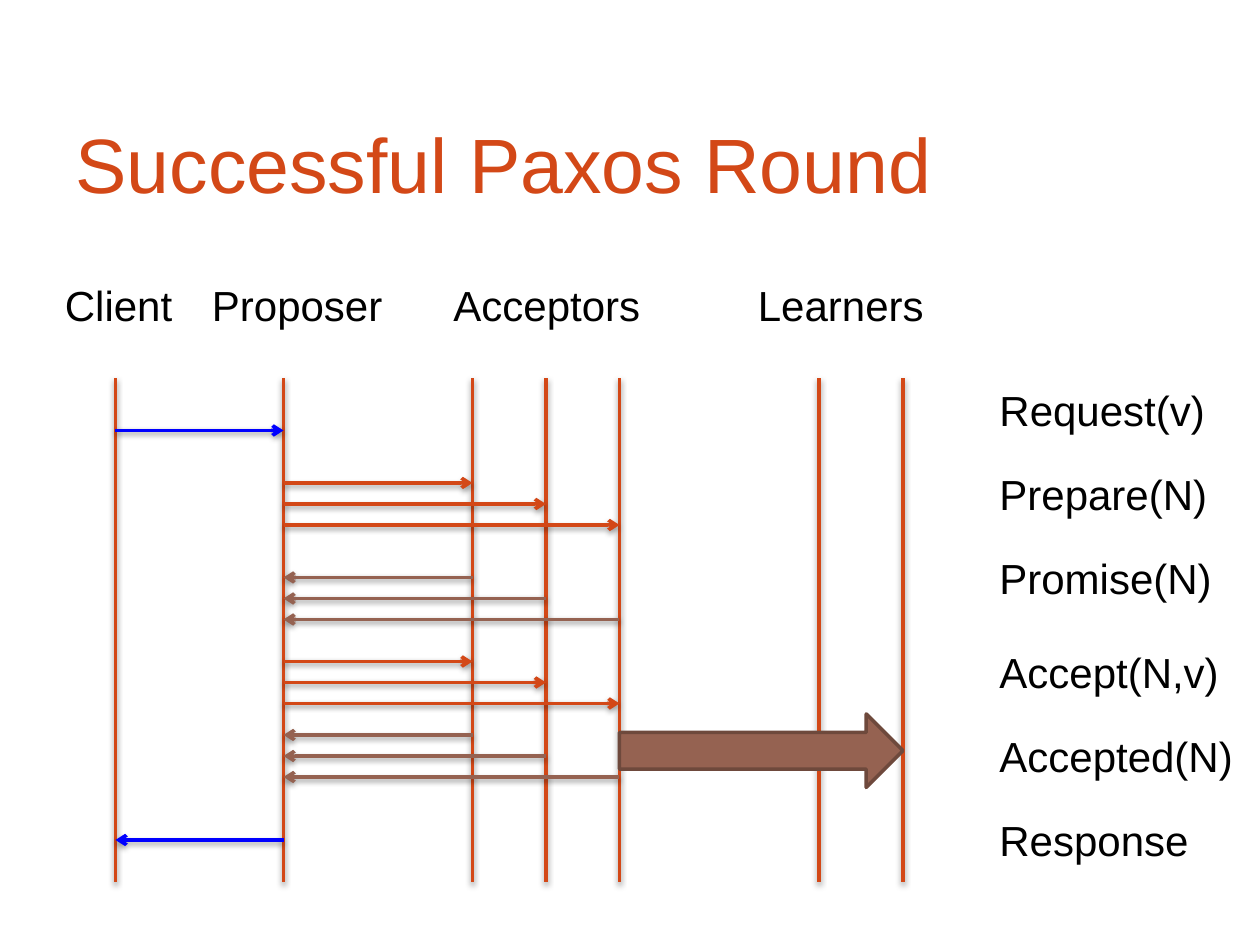
from dataclasses import dataclass

from lxml import etree
from pptx import Presentation
from pptx.dml.color import RGBColor
from pptx.enum.shapes import MSO_CONNECTOR, MSO_SHAPE
from pptx.enum.text import MSO_ANCHOR, MSO_AUTO_SIZE, PP_ALIGN
from pptx.oxml.ns import qn
from pptx.util import Pt

STRAIGHT = MSO_CONNECTOR.STRAIGHT
RIGHT_ARROW = MSO_SHAPE.RIGHT_ARROW
TOP, MIDDLE = MSO_ANCHOR.TOP, MSO_ANCHOR.MIDDLE
FIT_SHAPE = MSO_AUTO_SIZE.SHAPE_TO_FIT_TEXT
LEFT = PP_ALIGN.LEFT

ORANGE = RGBColor(0xD3, 0x48, 0x17)
BROWN = RGBColor(0x95, 0x62, 0x51)
DARK_BROWN = RGBColor(0x6E, 0x49, 0x3C)
BLUE = RGBColor(0x00, 0x00, 0xFF)
BLACK = RGBColor(0x00, 0x00, 0x00)

FONT = "Arial"
EMU_PER_PX = 7620
CLIENT, PROPOSER = 110, 270
ACCEPTORS = (450, 520, 590)
LEARNERS = (780, 860)
LIFE_TOP, LIFE_BOTTOM = 360, 840
ROW_GAP = 20
LABEL_H = 60


@dataclass(frozen=True)
class Label:
    text: str
    x: int
    y: int
    w: int


@dataclass(frozen=True)
class Exchange:
    y: int
    color: RGBColor
    to_acceptors: bool


HEADINGS = (
    Label("Client", 50, 260, 128),
    Label("Proposer", 190, 260, 188),
    Label("Acceptors", 420, 260, 205),
    Label("Learners", 710, 260, 184),
)
STEPS = (
    Label("Request(v)", 940, 360, 222),
    Label("Prepare(N)", 940, 440, 224),
    Label("Promise(N)", 940, 520, 228),
    Label("Accept(N,v)", 940, 610, 236),
    Label("Accepted(N)", 940, 690, 251),
    Label("Response", 940, 770, 206),
)
EXCHANGES = (
    Exchange(460, ORANGE, True),
    Exchange(550, BROWN, False),
    Exchange(630, ORANGE, True),
    Exchange(700, BROWN, False),
)


def px(n: int) -> int:
    """Turn px into EMU."""
    return n * EMU_PER_PX


def set_text(tf, text: str, *, size: int = 24, color: RGBColor = BLACK,
             anchor=TOP, wrap: bool = False) -> None:
    """Write one formatted, left-aligned paragraph."""
    tf.word_wrap = wrap
    tf.vertical_anchor = anchor
    p = tf.paragraphs[0]
    p.alignment = LEFT
    r = p.add_run()
    r.text = text
    r.font.name = FONT
    r.font.size = Pt(size)
    r.font.color.rgb = color


def add_label(s, label: Label) -> None:
    """Add a text box that fits its label."""
    sp = s.shapes.add_textbox(px(label.x), px(label.y), px(label.w), px(LABEL_H))
    set_text(sp.text_frame, label.text)
    sp.text_frame.auto_size = FIT_SHAPE


def add_line(s, x1: int, y1: int, x2: int, y2: int, color: RGBColor,
             arrow: bool = False) -> None:
    """Add a line with a soft shadow and an optional arrowhead."""
    sp = s.shapes.add_connector(STRAIGHT, px(x1), px(y1), px(x2), px(y2))
    sp.line.color.rgb = color
    sp.line.width = Pt(2)
    spPr = sp._element.spPr
    if arrow:
        etree.SubElement(spPr.find(qn("a:ln")), qn("a:tailEnd"), type="arrow")
    effects = etree.SubElement(spPr, qn("a:effectLst"))
    shadow = etree.SubElement(effects, qn("a:outerShdw"), blurRad="40000",
                              dist="20000", dir="5400000", rotWithShape="0")
    black = etree.SubElement(shadow, qn("a:srgbClr"), val="000000")
    etree.SubElement(black, qn("a:alpha"), val="38000")


def add_message(s, start: int, end: int, y: int, color: RGBColor) -> None:
    """Add a message arrow between two lifelines."""
    add_line(s, start, y, end, y, color, arrow=True)


def add_exchange(s, exchange: Exchange) -> None:
    """Add one message between the proposer and each acceptor."""
    for i, acceptor in enumerate(ACCEPTORS):
        ends = (PROPOSER, acceptor) if exchange.to_acceptors else (acceptor, PROPOSER)
        add_message(s, *ends, exchange.y + i * ROW_GAP, exchange.color)


def add_block_arrow(s, x: int, y: int, w: int, h: int) -> None:
    """Add the block arrow that reaches the learners."""
    sp = s.shapes.add_shape(RIGHT_ARROW, px(x), px(y), px(w), px(h))
    sp.shadow.inherit = False
    sp.fill.solid()
    sp.fill.fore_color.rgb = BROWN
    sp.line.color.rgb = DARK_BROWN
    sp.line.width = Pt(2)


def main() -> None:
    """Build and save the slide."""
    prs = Presentation()
    prs.slide_width, prs.slide_height = px(1200), px(900)
    s = prs.slides.add_slide(prs.slide_layouts[5])

    title = s.shapes.title
    title.left, title.top, title.width, title.height = map(px, (60, 80, 1080, 150))
    set_text(title.text_frame, "Successful Paxos Round", size=44, color=ORANGE,
             anchor=MIDDLE, wrap=True)

    for x in (CLIENT, PROPOSER, *ACCEPTORS, *LEARNERS):
        add_line(s, x, LIFE_TOP, x, LIFE_BOTTOM, ORANGE)
    for label in HEADINGS:
        add_label(s, label)

    add_message(s, CLIENT, PROPOSER, 410, BLUE)
    for exchange in EXCHANGES:
        add_exchange(s, exchange)
    add_message(s, PROPOSER, CLIENT, 800, BLUE)
    add_block_arrow(s, ACCEPTORS[-1], 680, LEARNERS[-1] - ACCEPTORS[-1], 70)

    for label in STEPS:
        add_label(s, label)
    prs.save("out.pptx")


if __name__ == "__main__":
    main()
